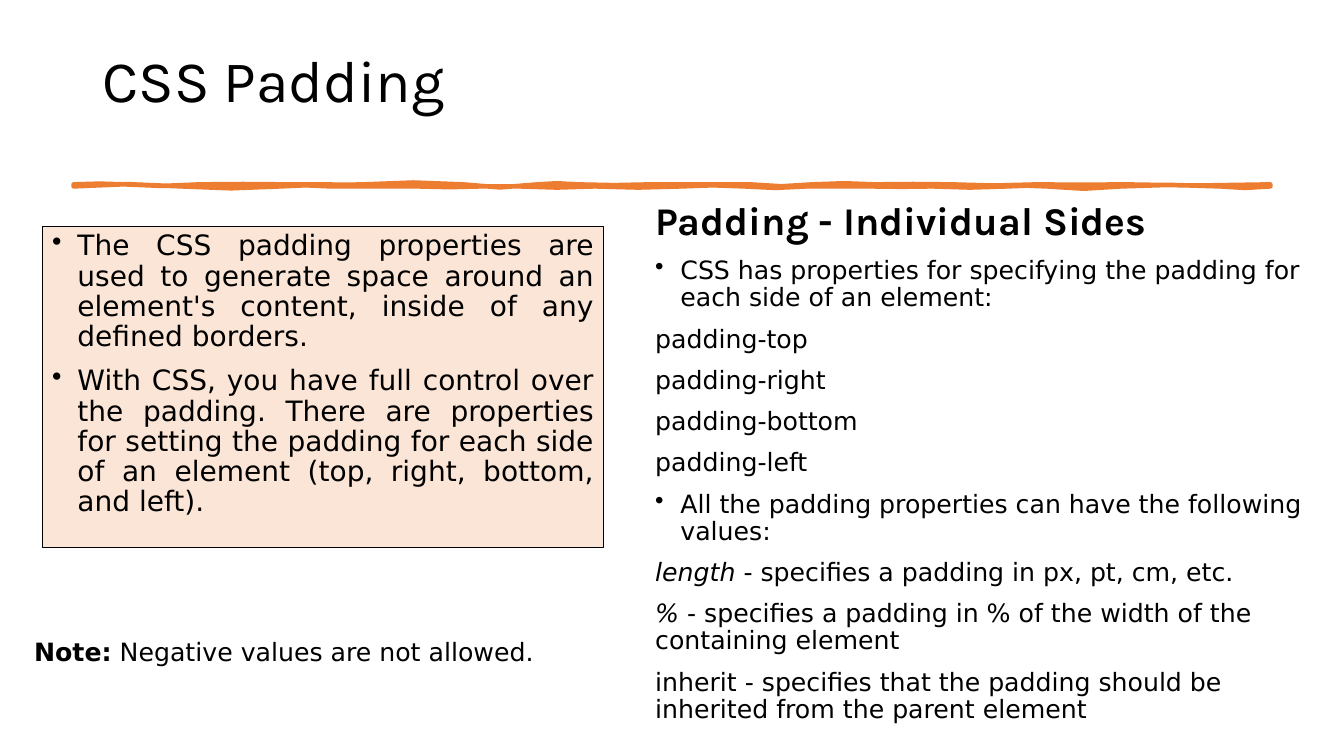
import lxml.etree
import pptx
import pptx.dml.color
import pptx.enum.shapes
import pptx.enum.text
import pptx.oxml.ns
import pptx.util

PX = 9144  # one hundredth of an inch
BLACK = pptx.dml.color.RGBColor(0x00, 0x00, 0x00)
ORANGE = pptx.dml.color.RGBColor(0xED, 0x7D, 0x31)
PEACH = pptx.dml.color.RGBColor(0xFB, 0xE5, 0xD6)
HEADING_FONT = "Karla"
BODY_FONT = "DejaVu Sans"
ALIGN = pptx.enum.text.PP_ALIGN

# Each stroke edge: a start point, then (end of wave, bend of wave) pairs.
UPPER_EDGE = (73, 183, [
    (124, -2), (198, 4), (284, -1), (322, 0), (361, 1), (459, -5),
    (533, 8), (572, -3), (646, 2), (744, 0), (806, 5), (868, -3),
    (943, -1), (1029, 3), (1115, 1), (1260, 3)])
LOWER_EDGE = (1260, 185, [
    (1210, 4), (1112, -4), (1038, 6), (999, -2), (925, 3), (863, 1),
    (800, 0), (738, 4), (676, -3), (590, 3), (515, 3), (477, 0),
    (414, 2), (328, 0), (278, -3), (180, 5), (73, -6)])

OVERVIEW = [
    "The CSS padding properties are used to generate space around an "
    "element's content, inside of any defined borders.",
    "With CSS, you have full control over the padding. There are properties "
    "for setting the padding for each side of an element (top, right, "
    "bottom, and left).",
]
SIDES = ["padding-top", "padding-right", "padding-bottom", "padding-left"]
VALUES = [
    ("length", " - specifies a padding in px, pt, cm, etc."),
    ("%", " - specifies a padding in % of the width of the containing element"),
    ("", "inherit - specifies that the padding should be inherited from the "
         "parent element"),
]


def box_edges(*lengths):
    return [length * PX for length in lengths]


def add_bullet(para):
    properties = para._p.get_or_add_pPr()
    properties.set("marL", str(25 * PX))
    properties.set("indent", str(-25 * PX))
    bullet = lxml.etree.SubElement(properties, pptx.oxml.ns.qn("a:buChar"))
    bullet.set("char", "•")


def add_paragraph(frame, text, lead="", size=18, font=BODY_FONT, bold=False,
                  lead_bold=False, lead_italic=False, bullet=False,
                  align=ALIGN.LEFT, spacing=0.9):
    """Fill the empty first paragraph or append one; lead is a styled opening."""
    if frame.text:
        para = frame.add_paragraph()
        para.space_before = pptx.util.Pt(10)
    else:
        para = frame.paragraphs[0]
    if bullet:
        add_bullet(para)
    para.alignment = align
    para.line_spacing = spacing
    for words, heavy, slanted in ((lead, lead_bold, lead_italic),
                                  (text, bold, False)):
        if words:
            span = para.add_run()
            span.text = words
            span.font.name = font
            span.font.size = pptx.util.Pt(size)
            span.font.bold = heavy
            span.font.italic = slanted
            span.font.color.rgb = BLACK


def add_title(page, text):
    title = page.shapes.title
    title.left, title.top, title.width, title.height = box_edges(92, 40, 1150, 145)
    frame = title.text_frame
    frame.auto_size = pptx.enum.text.MSO_AUTO_SIZE.NONE
    frame.vertical_anchor = pptx.enum.text.MSO_ANCHOR.TOP
    frame.margin_top = 11 * PX
    add_paragraph(frame, text, size=42, font=HEADING_FONT)


def add_text_box(page, *edges):
    frame = page.shapes.add_textbox(*box_edges(*edges)).text_frame
    frame.word_wrap = True
    return frame


def add_panel(page, *edges):
    panel = page.shapes.add_shape(
        pptx.enum.shapes.MSO_SHAPE.RECTANGLE, *box_edges(*edges))
    panel.shadow.inherit = False
    panel.fill.solid()
    panel.fill.fore_color.rgb = PEACH
    panel.line.color.rgb = BLACK
    panel.line.width = pptx.util.Pt(0.75)
    panel.text_frame.word_wrap = True
    panel.text_frame.vertical_anchor = pptx.enum.text.MSO_ANCHOR.TOP
    return panel.text_frame


def wave_points(start, level, waves):
    """Give the middle and the end of every wave, in hundredths of a px."""
    points = [(start * 100, level * 100)]
    for end, bend in waves:
        points.append(((start + end) * 50, round(level * 100 + bend * 37.5)))
        points.append((end * 100, level * 100))
        start = end
    return points


def add_brush_stroke(page):
    points = wave_points(*UPPER_EDGE) + wave_points(*LOWER_EDGE)
    builder = page.shapes.build_freeform(*points[0], scale=PX / 100)
    builder.add_line_segments(points[1:], close=True)
    stroke = builder.convert_to_shape()
    stroke.shadow.inherit = False
    stroke.fill.solid()
    stroke.fill.fore_color.rgb = ORANGE
    stroke.line.color.rgb = ORANGE
    stroke.line.width = pptx.util.Pt(3.25)


def add_sides_and_values(page):
    frame = add_text_box(page, 640, 195, 692, 544)
    add_paragraph(frame, "Padding - Individual Sides", size=28,
                  font=HEADING_FONT, bold=True)
    add_paragraph(frame, "CSS has properties for specifying the padding for "
                         "each side of an element:", bullet=True)
    for side in SIDES:
        add_paragraph(frame, side)
    add_paragraph(frame, "All the padding properties can have the following "
                         "values:", bullet=True)
    for value, meaning in VALUES:
        add_paragraph(frame, meaning, lead=value, lead_italic=True)


def main():
    deck = pptx.Presentation()
    deck.slide_width, deck.slide_height = box_edges(1333, 750)
    page = deck.slides.add_slide(deck.slide_layouts.get_by_name("Title Only"))
    add_title(page, "CSS Padding")
    add_brush_stroke(page)
    overview = add_panel(page, 42, 225, 557, 318)
    for statement in OVERVIEW:
        add_paragraph(overview, statement, size=20, bullet=True,
                      align=ALIGN.JUSTIFY)
    add_sides_and_values(page)
    note = add_text_box(page, 24, 626, 666, 40)
    add_paragraph(note, " Negative values are not allowed.", lead="Note:",
                  lead_bold=True, spacing=1.0)
    deck.save("out.pptx")


if __name__ == "__main__":
    main()
